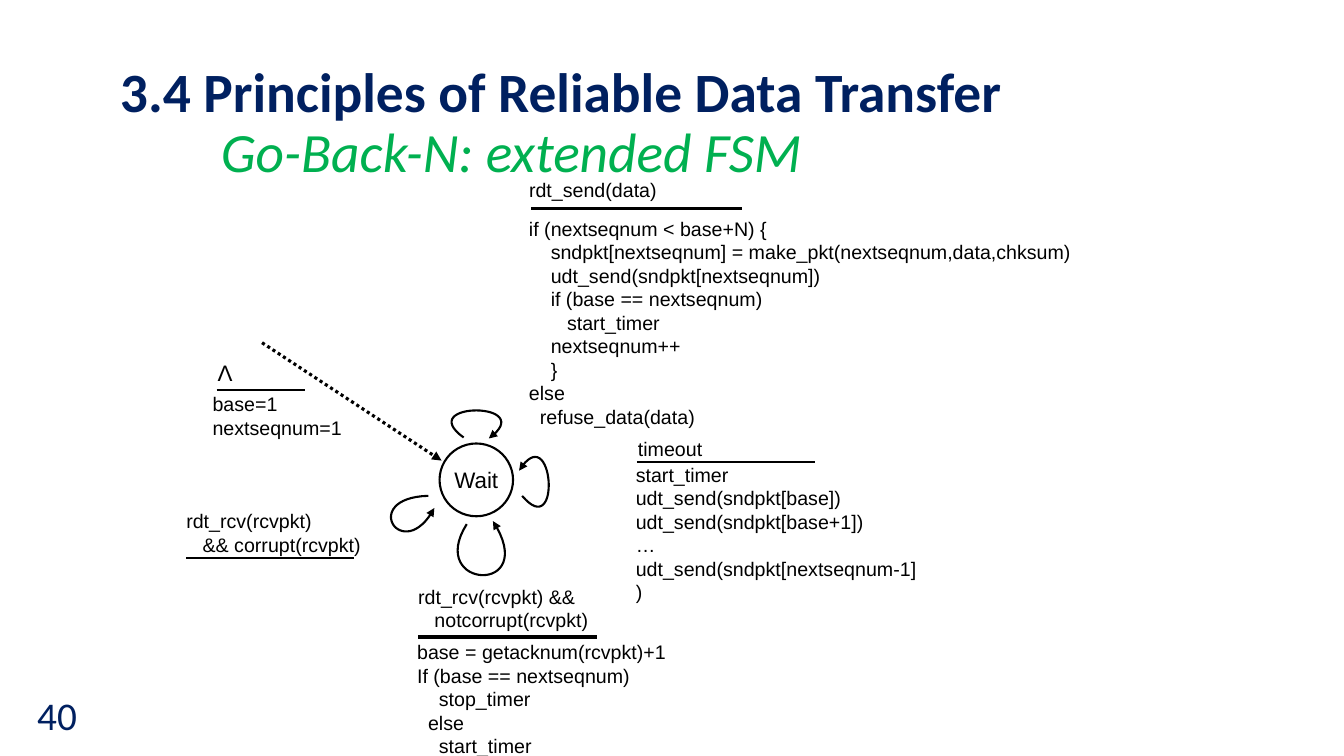
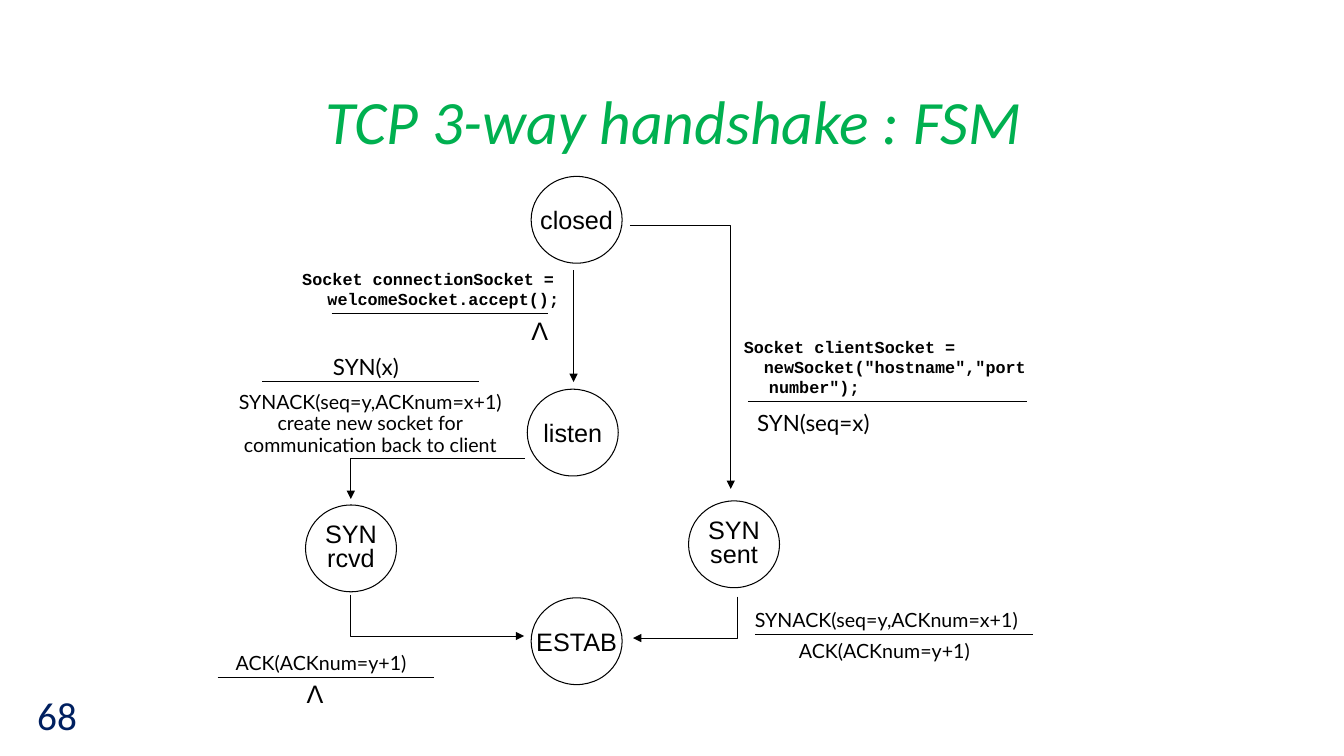
from dataclasses import dataclass

import pptx
import pptx.dml.color
import pptx.enum.dml
import pptx.enum.shapes
import pptx.enum.text
import pptx.oxml
import pptx.oxml.ns
import pptx.util

Pt = pptx.util.Pt
RGBColor = pptx.dml.color.RGBColor
PP_ALIGN = pptx.enum.text.PP_ALIGN
ANCHOR = pptx.enum.text.MSO_ANCHOR
Point = tuple[float, float]

NAVY = RGBColor(0x00, 0x20, 0x60)
GREEN = RGBColor(0x00, 0xB0, 0x50)
BLACK = RGBColor(0x00, 0x00, 0x00)
WHITE = RGBColor(0xFF, 0xFF, 0xFF)

TITLE_FONT = "Calibri"
CURVE_STEPS = 32


@dataclass(frozen=True)
class TitleLine:
    text: str
    size: float
    color: RGBColor
    bold: bool = False
    italic: bool = False
    indent: float = 0


@dataclass(frozen=True)
class Label:
    text: str
    x: float
    y: float
    w: float
    h: float
    size: float = 14
    font: str = "Arial"
    color: RGBColor = BLACK
    bold: bool = False
    align: PP_ALIGN = PP_ALIGN.LEFT
    anchor: ANCHOR = ANCHOR.TOP
    spacing: float = 1.0
    hanging: float = 0


@dataclass(frozen=True)
class State:
    text: str
    x: float
    y: float
    w: float = 65
    h: float = 62
    size: float = 18
    weight: float = 0.75


@dataclass(frozen=True)
class Line:
    start: Point
    end: Point
    weight: float = 0.75
    arrow: bool = False
    dotted: bool = False


@dataclass(frozen=True)
class Path:
    points: list[Point]
    weight: float = 0.75


def rule(x1: float, x2: float, y: float, weight: float = 0.75) -> Line:
    return Line((x1, y), (x2, y), weight)


def code(text: str, x: float, y: float, w: float, h: float) -> Label:
    return Label(text, x, y, w, h, 12, "Courier New", bold=True, hanging=18)


def caption(text: str, x: float, y: float, w: float, size: float = 14,
            spacing: float = 0.9, font: str = "Lato") -> Label:
    return Label(text, x, y, w, 26, size, font, align=PP_ALIGN.CENTER, spacing=spacing)


def loop(a: Point, b: Point, c: Point, d: Point) -> Path:
    """Trace the cubic curve from a to d with control points b and c."""
    points = []
    for i in range(CURVE_STEPS + 1):
        t = i / CURVE_STEPS
        u = 1 - t
        weights = (u**3, 3 * u * u * t, 3 * u * t * t, t**3)
        points.append(tuple(sum(k * p[axis] for k, p in zip(weights, (a, b, c, d)))
                            for axis in (0, 1)))
    return Path(points, 1.5)


def set_indent(p, left: float, first: float = 0) -> None:
    pPr = p._p.get_or_add_pPr()
    pPr.set("marL", str(Pt(left)))
    pPr.set("indent", str(Pt(first)))


def set_line(sp, weight: float) -> None:
    sp.line.color.rgb = BLACK
    sp.line.width = Pt(weight)


def add_arrowhead(sp) -> None:
    ln = sp._element.find(".//" + pptx.oxml.ns.qn("a:ln"))
    ln.append(pptx.oxml.parse_xml(
        f'<a:tailEnd {pptx.oxml.ns.nsdecls("a")} type="triangle"/>'))


def draw_label(s, label: Label) -> None:
    tf = s.shapes.add_textbox(Pt(label.x), Pt(label.y), Pt(label.w), Pt(label.h)).text_frame
    tf.word_wrap = True
    tf.vertical_anchor = label.anchor
    tf.text = label.text
    for p in tf.paragraphs:
        if label.hanging:
            set_indent(p, label.hanging, -label.hanging)
        p.alignment = label.align
        p.line_spacing = label.spacing
        p.font.name = label.font
        p.font.size = Pt(label.size)
        p.font.bold = label.bold
        p.font.color.rgb = label.color


def draw_state(s, state: State) -> None:
    sp = s.shapes.add_shape(pptx.enum.shapes.MSO_SHAPE.OVAL,
                            Pt(state.x), Pt(state.y), Pt(state.w), Pt(state.h))
    sp.shadow.inherit = False
    sp.fill.solid()
    sp.fill.fore_color.rgb = WHITE
    set_line(sp, state.weight)
    tf = sp.text_frame
    tf.word_wrap = False
    tf.vertical_anchor = ANCHOR.MIDDLE
    tf.margin_left = tf.margin_right = tf.margin_top = tf.margin_bottom = 0
    tf.text = state.text
    for p in tf.paragraphs:
        p.alignment = PP_ALIGN.CENTER
        p.line_spacing = 0.8 if len(tf.paragraphs) > 1 else 1.0
        p.font.name = "Arial"
        p.font.size = Pt(state.size)
        p.font.color.rgb = BLACK


def draw_line(s, line: Line) -> None:
    cn = s.shapes.add_connector(pptx.enum.shapes.MSO_CONNECTOR.STRAIGHT,
                                *(Pt(v) for v in line.start + line.end))
    set_line(cn, line.weight)
    if line.dotted:
        cn.line.dash_style = pptx.enum.dml.MSO_LINE.ROUND_DOT
    if line.arrow:
        add_arrowhead(cn)
    cn._element.spPr.append(pptx.oxml.parse_xml(
        f'<a:effectLst {pptx.oxml.ns.nsdecls("a")}/>'))


def draw_path(s, outline: Path) -> None:
    first, *rest = [(Pt(x), Pt(y)) for x, y in outline.points]
    fb = s.shapes.build_freeform(*first)
    fb.add_line_segments(rest, close=False)
    sp = fb.convert_to_shape()
    sp.shadow.inherit = False
    sp.fill.background()
    set_line(sp, outline.weight)
    add_arrowhead(sp)


DRAW = {Label: draw_label, State: draw_state, Line: draw_line, Path: draw_path}


def add_slide(prs, number: int, left: float, title: list[TitleLine], items: list) -> None:
    s = prs.slides.add_slide(prs.slide_layouts[5])
    sp = s.shapes.title
    sp.left, sp.top, sp.width, sp.height = Pt(left), Pt(44.5), Pt(825), Pt(88.5)
    tf = sp.text_frame
    tf.word_wrap = True
    tf.auto_size = pptx.enum.text.MSO_AUTO_SIZE.NONE
    tf.vertical_anchor = ANCHOR.MIDDLE
    tf.text = "\n".join(line.text for line in title)
    for p, line in zip(tf.paragraphs, title):
        set_indent(p, line.indent)
        p.alignment = PP_ALIGN.LEFT
        p.line_spacing = 0.9
        p.space_before = Pt(0)
        p.font.name = TITLE_FONT
        p.font.size = Pt(line.size)
        p.font.bold = line.bold
        p.font.italic = line.italic
        p.font.color.rgb = line.color
    draw_label(s, Label(str(number), 0, 481.5, 62, 58.5, 28, TITLE_FONT, NAVY,
                        align=PP_ALIGN.RIGHT, anchor=ANCHOR.MIDDLE))
    for item in items:
        DRAW[type(item)](s, item)


GO_BACK_N = [
    State("Wait", 314, 316.8, 52.5, 52, 16, 1.5),
    Line((187.2, 244.8), (315.4, 329), 2.25, arrow=True, dotted=True),
    Label("Λ", 148.3, 252.7, 36, 26.6, 16),
    rule(154.8, 218.2, 278.6, 1.5),
    Label("base=1\nnextseqnum=1", 144.7, 276.5, 116.6, 39.6),
    Label("rdt_send(data)", 370.8, 123.8, 183.6, 20.2),
    rule(379.4, 529.9, 149, 2.25),
    Label("""if (nextseqnum < base+N) {
    sndpkt[nextseqnum] = make_pkt(nextseqnum,data,chksum)
    udt_send(sndpkt[nextseqnum])
    if (base == nextseqnum)
       start_timer
    nextseqnum++
    }
else
  refuse_data(data)""", 370.8, 151.2, 434.9, 115.2),
    Label("timeout", 448.6, 308.2, 86.4, 21.6),
    rule(455, 582.5, 329.8, 1.5),
    Label("""start_timer
udt_send(sndpkt[base])
udt_send(sndpkt[base+1])
…
udt_send(sndpkt[nextseqnum-1])""", 447.1, 326.9, 218.9, 65.5),
    Label("rdt_rcv(rcvpkt)\n   && corrupt(rcvpkt)", 126, 360, 161.3, 35.3),
    rule(133.2, 252.7, 398.9, 1.5),
    Label("rdt_rcv(rcvpkt) &&\n   notcorrupt(rcvpkt)", 291.6, 414, 223.2, 35.3),
    rule(298.8, 426.2, 455, 2.25),
    Label("""base = getacknum(rcvpkt)+1
If (base == nextseqnum)
    stop_timer
  else
    start_timer""", 290.9, 453.6, 290.2, 65.5),
    loop((331.2, 312.5), (295.2, 286.6), (385.9, 286.6), (349.2, 313.2)),
    loop((373, 354.2), (401.8, 388.1), (395.3, 297.4), (370.8, 336.2)),
    loop((333.4, 374.4), (303.8, 421.2), (386.6, 425.5), (352.1, 372.2)),
    loop((306, 354.2), (255.6, 355.7), (288, 404.6), (310.3, 362.9)),
]

HANDSHAKE = [
    State("closed", 379.4, 126),
    State("listen", 376.6, 278),
    State("SYN\nrcvd", 218.2, 360.7),
    State("SYN\nsent", 491.8, 357.8),
    State("ESTAB", 379.4, 427),
    Line((409.7, 193), (409.7, 272.9), arrow=True),
    Path([(450, 161.3), (522, 161.3), (522, 349.2)]),
    Path([(375.1, 327.6), (250.6, 327.6), (250.6, 356.4)]),
    Path([(250.2, 424.8), (250.2, 454.3), (374.4, 454.3)]),
    Path([(527, 426.2), (527, 455.8), (452.2, 455.8)]),
    code("Socket connectionSocket = welcomeSocket.accept();", 208.8, 188.6, 203, 36),
    rule(236.9, 391.7, 223.9),
    caption("Λ", 367.5, 221.8, 36, 18, 1.0, "Arial"),
    code('Socket clientSocket =\n  newSocket("hostname","port number");', 524.2, 236.9, 227.5, 50.4),
    rule(534.2, 733.7, 286.6),
    caption("SYN(seq=x)", 526, 288.7, 110, 16, 1.0),
    caption("SYN(x)", 221.4, 248.4, 80, 16, 1.0),
    rule(187.2, 342, 272.2),
    caption("SYNACK(seq=y,ACKnum=x+1)\ncreate new socket for\ncommunication back to client",
            162, 277, 205.2),
    caption("SYNACK(seq=y,ACKnum=x+1)", 530.6, 432.5, 205.2),
    rule(539.3, 738, 452.9),
    caption("ACK(ACKnum=y+1)", 563, 454.8, 137.5),
    caption("ACK(ACKnum=y+1)", 160.6, 463.5, 137.5),
    rule(155.5, 310.3, 483.8),
    caption("Λ", 207, 481, 36, 18, 1.0, "Arial"),
]


def main() -> None:
    prs = pptx.Presentation()
    prs.slide_width, prs.slide_height = Pt(960), Pt(540)
    add_slide(prs, 40, 78.5, [
        TitleLine("3.4 Principles of Reliable Data Transfer", 39.6, NAVY, bold=True),
        TitleLine("Go-Back-N: extended FSM", 39.6, GREEN, italic=True, indent=72),
    ], GO_BACK_N)
    add_slide(prs, 68, 81.4, [
        TitleLine("TCP 3-way handshake : FSM", 44, GREEN, italic=True, indent=144),
    ], HANDSHAKE)
    prs.save("out.pptx")


if __name__ == "__main__":
    main()
